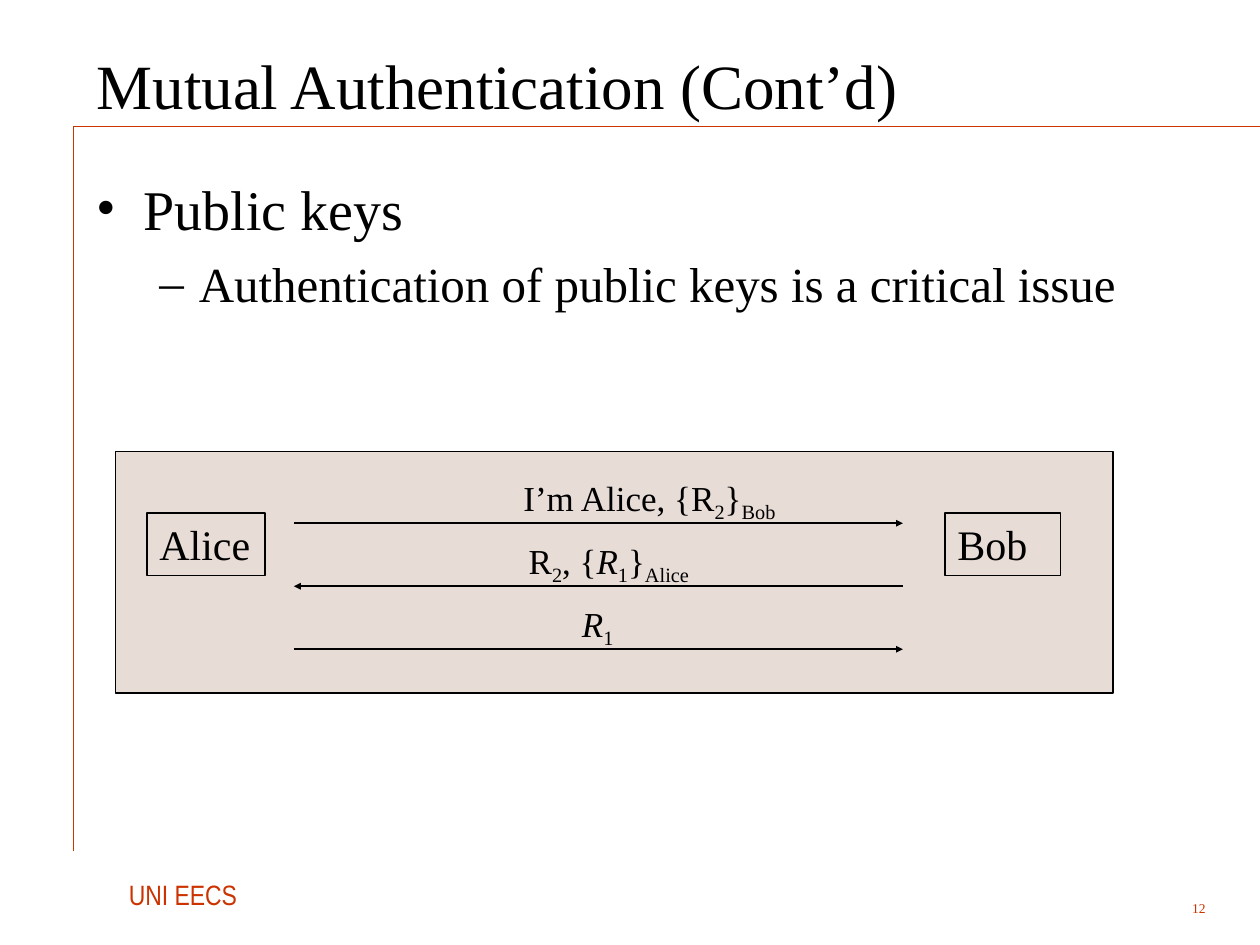
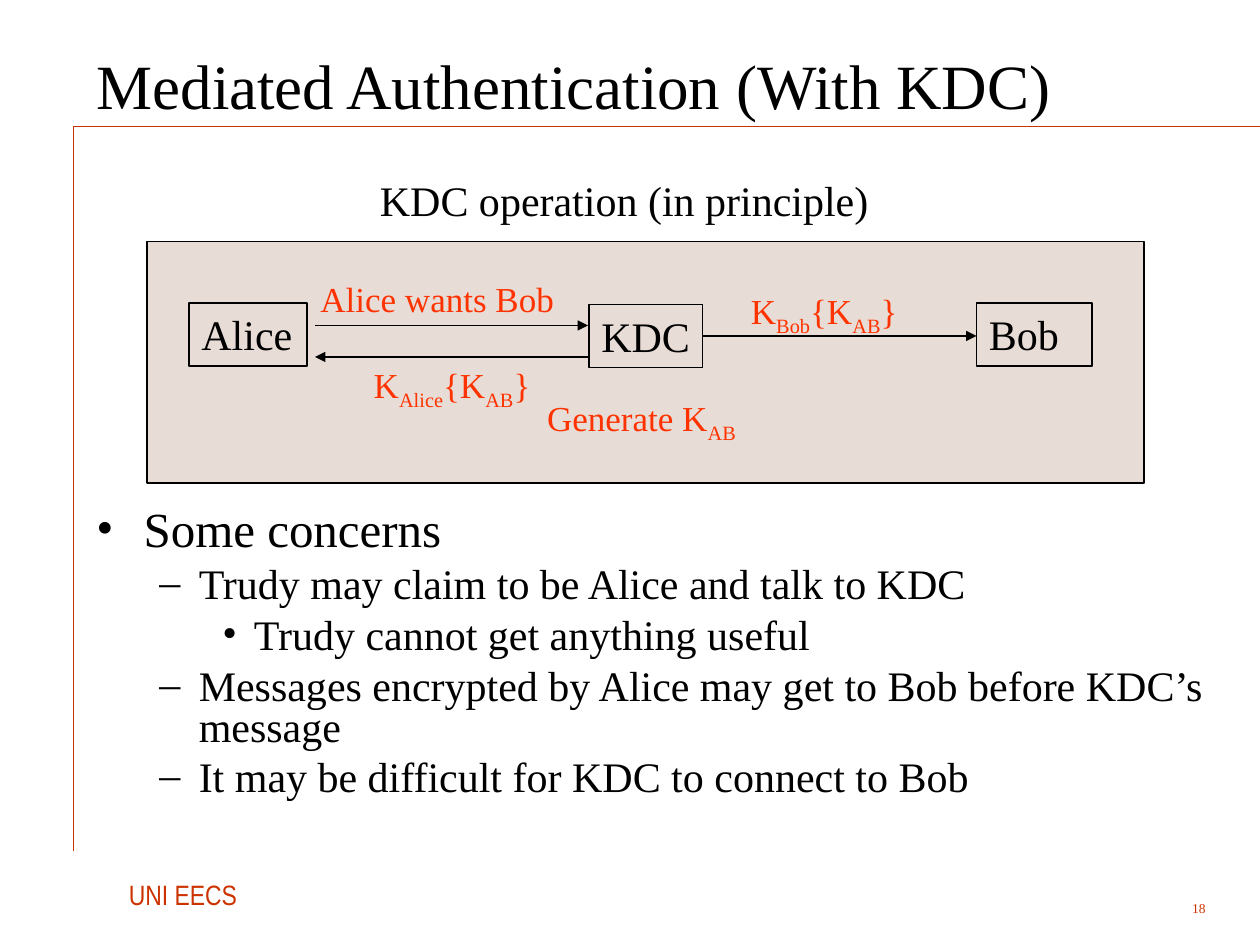
from lxml import etree
from pptx import Presentation
from pptx.dml.color import RGBColor
from pptx.enum.shapes import MSO_CONNECTOR, MSO_SHAPE
from pptx.enum.text import MSO_ANCHOR, MSO_AUTO_SIZE, PP_ALIGN
from pptx.oxml.ns import qn
from pptx.util import Pt

LEFT, RIGHT = PP_ALIGN.LEFT, PP_ALIGN.RIGHT
TOP, MIDDLE = MSO_ANCHOR.TOP, MSO_ANCHOR.MIDDLE
NO_AUTOFIT = MSO_AUTO_SIZE.NONE
RECT, STRAIGHT = MSO_SHAPE.RECTANGLE, MSO_CONNECTOR.STRAIGHT

SERIF, NARROW = "Times New Roman", "Arial Narrow"
BLACK, ACCENT, PANEL, MESSAGE = "000000", "CC3300", "E8DCD6", "FF3300"
TITLE_ONLY = 5
# Per outline level: bullet, left margin, hanging indent
BULLETS = [("•", 27, 27), ("–", 58.5, 22.5), ("•", 90, 18)]


def rgb(color):
    """Turn a hex string into a colour."""
    return RGBColor.from_string(color)


def write(p, text, size=20, font=SERIF, color=BLACK, align=LEFT, before=0, spacing=None):
    """Write text into a paragraph; ~x~ is subscript and *x* is italic."""
    p.alignment = align
    p.space_before = Pt(before)
    if spacing:
        p.line_spacing = spacing
    for i, part in enumerate(text.split("~")):
        for j, piece in enumerate(part.split("*")):
            if not piece:
                continue
            r = p.add_run()
            r.text = piece
            r.font.size = Pt(size)
            r.font.name = font
            r.font.color.rgb = rgb(color)
            if j % 2:
                r.font.italic = True
            if i % 2:
                r.font._element.set("baseline", "-25000")


def add_label(shapes, text, x, y, w, h, anchor=TOP, **fmt):
    """Add a text box with one paragraph."""
    tf = shapes.add_textbox(Pt(x), Pt(y), Pt(w), Pt(h)).text_frame
    tf.word_wrap = True
    tf.vertical_anchor = anchor
    write(tf.paragraphs[0], text, **fmt)


def add_box(shapes, x, y, w, h, text="", fill=None):
    """Add an outlined rectangle, optionally filled or named."""
    sp = shapes.add_shape(RECT, Pt(x), Pt(y), Pt(w), Pt(h))
    sp.shadow.inherit = False
    sp.line.color.rgb = rgb(BLACK)
    sp.line.width = Pt(1)
    if fill:
        sp.fill.solid()
        sp.fill.fore_color.rgb = rgb(fill)
    else:
        sp.fill.background()
    if text:
        tf = sp.text_frame
        tf.word_wrap = True
        tf.margin_right = 0
        tf.vertical_anchor = TOP
        write(tf.paragraphs[0], text, size=24)


def add_line(shapes, x1, y1, x2, y2, color=BLACK, width=1, head=None):
    """Add a straight line, with an arrowhead of the given size at its end."""
    cn = shapes.add_connector(STRAIGHT, Pt(x1), Pt(y1), Pt(x2), Pt(y2))
    cn.line.color.rgb = rgb(color)
    cn.line.width = Pt(width)
    if head:
        etree.SubElement(cn.line._get_or_add_ln(), qn("a:tailEnd"),
                         type="triangle", w=head, len=head)
    etree.SubElement(cn._element.spPr, qn("a:effectLst"))


def add_outline(s, y, h, items, spacing=None):
    """Add a bulleted outline of (level, size, space before, text) items."""
    tf = s.shapes.add_textbox(Pt(48), Pt(y), Pt(650), Pt(h)).text_frame
    tf.word_wrap = True
    for i, (level, size, before, text) in enumerate(items):
        p = tf.add_paragraph() if i else tf.paragraphs[0]
        p.level = level
        write(p, text, size=size, before=before, spacing=spacing)
        char, margin, hang = BULLETS[level]
        pPr = p._p.get_or_add_pPr()
        pPr.set("marL", str(Pt(margin)))
        pPr.set("indent", str(-Pt(hang)))
        etree.SubElement(pPr, qn("a:buFont"), typeface=SERIF)
        etree.SubElement(pPr, qn("a:buChar"), char=char)


def add_slide(prs, title, number):
    """Add a slide with the shared rules, footer, number and title."""
    s = prs.slides.add_slide(prs.slide_layouts[TITLE_ONLY])
    add_line(s.shapes, 42, 72, 720, 72, color=ACCENT, width=0.25)
    add_line(s.shapes, 42, 72, 42, 486, color=ACCENT, width=0.75)
    add_label(s.shapes, "UNI EECS", 66.5, 498, 90, 27,
              size=16, font=NARROW, color=ACCENT, before=4)
    add_label(s.shapes, str(number), 636, 510, 60, 18, anchor=MIDDLE,
              size=7.7, color=ACCENT, align=RIGHT)
    sp = s.shapes.title
    sp.left, sp.top, sp.width, sp.height = Pt(48), Pt(12), Pt(649), Pt(72)
    tf = sp.text_frame
    tf.auto_size = NO_AUTOFIT
    tf.vertical_anchor = MIDDLE
    write(tf.paragraphs[0], title, size=36)
    return s


def add_scene(s, x, y, alice_x, bob_x):
    """Add a grouped panel with Alice and Bob; return the group's shapes."""
    shapes = s.shapes.add_group_shape().shapes
    add_box(shapes, x, y, 570, 138, fill=PANEL)
    add_box(shapes, alice_x, y + 35, 67.5, 36, "Alice")
    add_box(shapes, bob_x, y + 35, 66, 36, "Bob")
    return shapes


def build_mutual(prs):
    """Build the slide on mutual authentication with public keys."""
    s = add_slide(prs, "Mutual Authentication (Cont’d)", 12)
    add_outline(s, 96, 390, [
        (0, 32, 8, "Public keys"),
        (1, 28, 7, "Authentication of public keys is a critical issue"),
    ])
    shapes = add_scene(s, 66, 258, 84, 540)
    alice_end, bob_end = 168, 516
    messages = [
        ("I’m Alice, {R~2~}~Bob~", 292, 170, True),
        ("R~2~, {*R*~1~}~Alice~", 295, 119, False),
        ("*R*~1~", 325.5, 42, True),
    ]
    for i, (text, x, w, to_bob) in enumerate(messages):
        y = 299 + 36 * i
        start, end = (alice_end, bob_end) if to_bob else (bob_end, alice_end)
        add_line(shapes, start, y, end, y, head="sm")
        add_label(shapes, text, x, y - 30.5, w, 35)


def build_mediated(prs):
    """Build the slide on authentication through a KDC."""
    s = add_slide(prs, "Mediated Authentication (With KDC)", 18)
    add_outline(s, 288, 186, [
        (0, 28, 7, "Some concerns"),
        (1, 24, 6, "Trudy may claim to be Alice and talk to KDC"),
        (2, 24, 6, "Trudy cannot get anything useful"),
        (1, 24, 6, "Messages encrypted by Alice may get to Bob before KDC’s message"),
        (1, 24, 6, "It may be difficult for KDC to connect to Bob"),
    ], spacing=0.8)
    shapes = add_scene(s, 84, 138, 108, 558)
    add_box(shapes, 336.5, 174, 65, 36, "KDC")
    for x1, x2, y in [(180, 336, 186), (402, 558, 192), (336, 180, 204)]:
        add_line(shapes, x1, y, x2, y, head="med")
    for text, x, y, w in [
        ("Generate K~AB~", 305.5, 223, 140),
        ("Alice wants Bob", 176, 155, 154),
        ("K~Bob~{K~AB~}", 422, 162, 110),
        ("K~Alice~{K~AB~}", 206.5, 204, 116),
    ]:
        add_label(shapes, text, x, y, w, 34, color=MESSAGE)
    add_label(s.shapes, "KDC operation (in principle)", 210, 96, 310, 36, size=24)


def main():
    """Build and save the presentation."""
    prs = Presentation()
    prs.slide_width, prs.slide_height = Pt(720), Pt(540)
    build_mutual(prs)
    build_mediated(prs)
    prs.save("out.pptx")


main()
